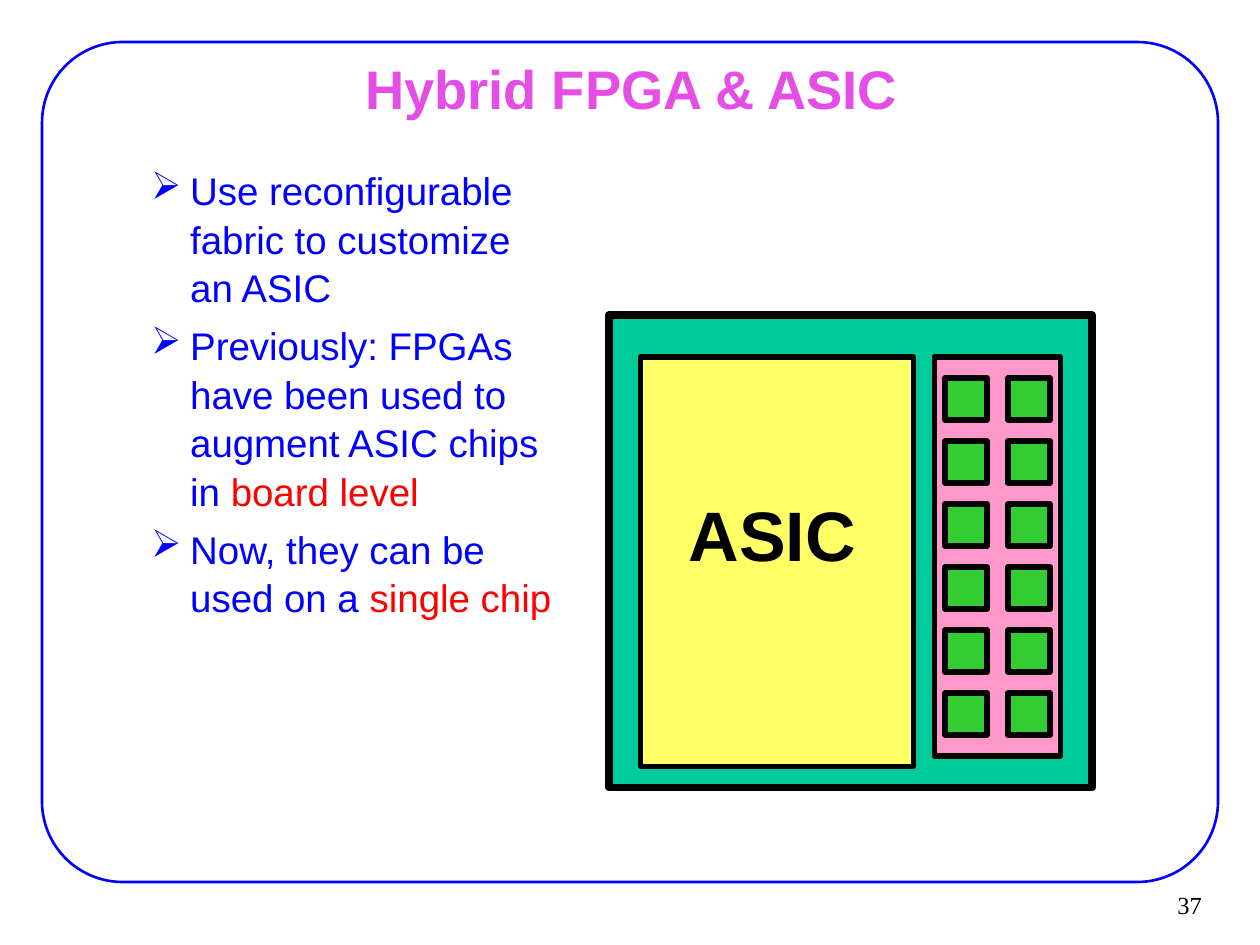
from itertools import product

from lxml.etree import SubElement
from pptx import Presentation
from pptx.dml.color import RGBColor
from pptx.enum.shapes import MSO_SHAPE
from pptx.enum.text import MSO_ANCHOR, PP_ALIGN
from pptx.oxml.ns import qn
from pptx.util import Inches, Pt

UNIT = 1 / 12  # drawing grid: 120 columns by 90 rows
BLUE, RED, BLACK = "0000FF", "FF0000", "000000"
BULLETS = [
    [("Use reconfigurable fabric to customize an ASIC", BLUE)],
    [("Previously: FPGAs have been used to augment ASIC chips in ", BLUE),
     ("board level", RED)],
    [("Now, they can be used on a ", BLUE), ("single chip", RED)],
]


def color(hex_text):
    return RGBColor.from_string(hex_text)


def add_block(slide, col, row, cols, rows, fill, line=BLACK, weight=3,
              kind=MSO_SHAPE.RECTANGLE):
    """Place an outlined shape on the grid; fill None leaves it open."""
    sp = slide.shapes.add_shape(
        kind, *(Inches(n * UNIT) for n in (col, row, cols, rows)))
    sp.shadow.inherit = False
    if fill:
        sp.fill.solid()
        sp.fill.fore_color.rgb = color(fill)
    else:
        sp.fill.background()
    sp.line.color.rgb = color(line)
    sp.line.width = Pt(weight)
    return sp


def add_runs(p, parts, size, font="Arial", bold=False):
    p.line_spacing = 1.05
    for text, rgb in parts:
        r = p.add_run()
        r.text = text
        r.font.size, r.font.name, r.font.bold = Pt(size), font, bold
        r.font.color.rgb = color(rgb)


def add_box(slide, left, top, width, height, anchor=MSO_ANCHOR.TOP,
            margins=(0.11, 0.06), wrap=True):
    box = slide.shapes.add_textbox(
        *(Inches(n) for n in (left, top, width, height)))
    tf = box.text_frame
    tf.word_wrap = wrap
    tf.vertical_anchor = anchor
    tf.margin_left = tf.margin_right = Inches(margins[0])
    tf.margin_top = tf.margin_bottom = Inches(margins[1])
    return tf


def add_label(slide, text, place, size, rgb, align=PP_ALIGN.CENTER,
              font="Arial", bold=True, **box):
    p = add_box(slide, *place, **box).paragraphs[0]
    p.alignment = align
    add_runs(p, [(text, rgb)], size, font, bold)


def add_bullets(slide, place, items, size):
    tf = add_box(slide, *place)
    for i, parts in enumerate(items):
        p = tf.add_paragraph() if i else tf.paragraphs[0]
        add_runs(p, parts, size)
        if i:
            p.space_before = Pt(5.5)
        pPr = p._p.get_or_add_pPr()
        pPr.set("marL", str(Inches(0.81)))
        pPr.set("indent", str(Inches(-0.31)))
        SubElement(SubElement(pPr, qn("a:buClr")), qn("a:srgbClr"), val=BLUE)
        SubElement(pPr, qn("a:buChar"), char="➢")


def add_chip(slide):
    add_block(slide, 58, 30, 46, 45, "00CC99", weight=4.5)
    add_block(slide, 61, 34, 26, 39, "FFFF66")
    # Reconfigurable fabric: two columns of six cells
    add_block(slide, 89, 34, 12, 38, "FF99CC")
    for row, col in product(range(6), range(2)):
        add_block(slide, 90 + 6 * col, 36 + 6 * row, 4, 4, "33CC33")
    add_label(slide, "ASIC", (5.17, 3.82, 1.92, 0.77), 40, BLACK,
              margins=(0.1, 0.05))


def main():
    prs = Presentation()
    prs.slide_width, prs.slide_height = Inches(10), Inches(7.5)
    slide = prs.slides.add_slide(prs.slide_layouts[6])

    # Frame and title
    frame = add_block(slide, 4, 4, 112, 80, None, BLUE, 1.5,
                      MSO_SHAPE.ROUNDED_RECTANGLE)
    frame.adjustments[0] = 0.096
    add_label(slide, "Hybrid FPGA & ASIC", (0.76, 0.44, 8.5, 0.49), 31,
              "E44EE4", anchor=MSO_ANCHOR.MIDDLE)

    # Bullet list and page number
    add_bullets(slide, (0.59, 1.25, 3.94, 4.5), BULLETS, 22)
    add_label(slide, "37", (9.02, 6.99, 0.61, 0.37), 14, BLACK,
              PP_ALIGN.RIGHT, "Times New Roman", False,
              anchor=MSO_ANCHOR.MIDDLE, margins=(0.09, 0.04), wrap=False)

    # Chip diagram
    add_chip(slide)
    prs.save("out.pptx")


if __name__ == "__main__":
    main()
